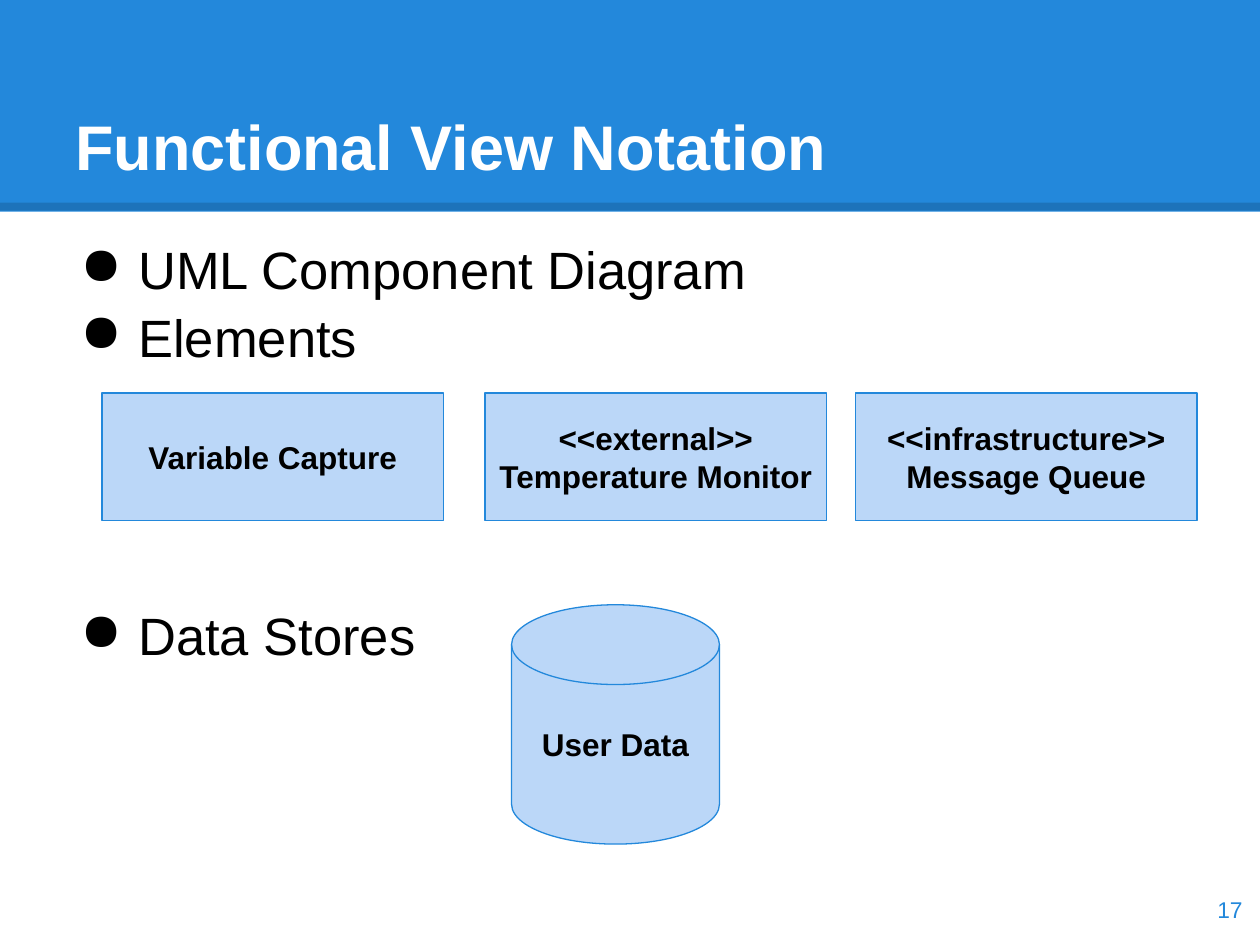
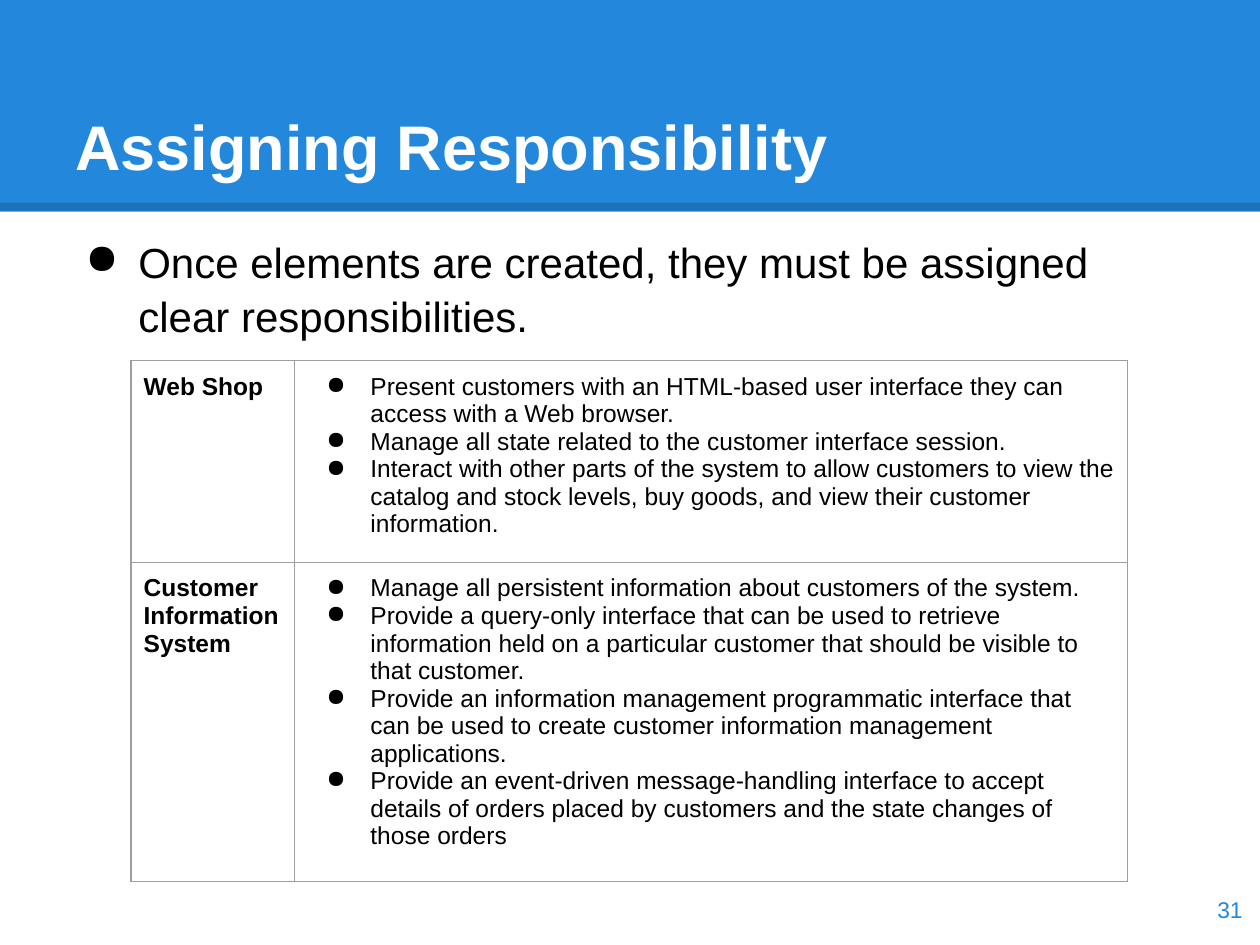
"""Build two slides on functional view notation and element responsibilities."""
import pptx
import pptx.dml.color
import pptx.enum.shapes
import pptx.enum.text
import pptx.oxml
import pptx.oxml.ns
import pptx.util
from lxml import etree
from pptx.util import Inches

BLUE, PALE_BLUE, GREY = "2388DB", "BBD7F8", "9E9E9E"
BLACK, WHITE = "000000", "FFFFFF"
SHAPES = pptx.enum.shapes.MSO_SHAPE
ALIGN = pptx.enum.text.PP_ALIGN
ANCHOR = pptx.enum.text.MSO_ANCHOR
qn = pptx.oxml.ns.qn

TITLE = {"size": 36, "bold": True, "color": WHITE, "anchor": ANCHOR.BOTTOM}
NUMBER = {"size": 13, "color": BLUE, "align": ALIGN.RIGHT, "anchor": ANCHOR.MIDDLE}
LABEL = {"size": 18, "bold": True, "align": ALIGN.CENTER, "anchor": ANCHOR.MIDDLE}
CELL_HEAD = {"size": 14, "bold": True}
CELL_LIST = {"size": 14, "hanging": 0.35}


def rgb(value):
    return pptx.dml.color.RGBColor.from_string(value)


def write_text(holder, lines, size, color=BLACK, bold=False, align=ALIGN.LEFT,
               anchor=ANCHOR.TOP, hanging=None, spacing=1.0, before=()):
    frame = holder.text_frame
    area = holder if hasattr(holder, "margin_left") else frame
    for side in ("left", "top", "right", "bottom"):
        setattr(area, f"margin_{side}", Inches(0.1))
    area.vertical_anchor = anchor
    frame.word_wrap = True
    for index, line in enumerate(lines):
        paragraph = frame.add_paragraph() if index else frame.paragraphs[0]
        paragraph_format = {
            "alignment": align,
            "line_spacing": spacing,
            "space_before": pptx.util.Pt(before[index] if before else 0),
        }
        for name, value in paragraph_format.items():
            setattr(paragraph, name, value)
        run = paragraph.add_run()
        run.text = line
        font_format = {"name": "Arial", "size": pptx.util.Pt(size), "bold": bold}
        for name, value in font_format.items():
            setattr(run.font, name, value)
        run.font.color.rgb = rgb(color)
        if hanging:
            properties = paragraph._p.get_or_add_pPr()
            properties.set("marL", str(Inches(0.5)))
            properties.set("indent", str(-Inches(hanging)))
            bullet_color = etree.SubElement(properties, qn("a:buClr"))
            etree.SubElement(bullet_color, qn("a:srgbClr"), val=color)
            etree.SubElement(properties, qn("a:buChar"), char="●")


presentation = pptx.Presentation()
presentation.slide_width = Inches(10)
presentation.slide_height = Inches(7.5)

pages = [
    ("Functional View Notation", "17",
     ["UML Component Diagram", "Elements", "Data Stores"],
     {"size": 30, "hanging": 0.46, "before": (6, 0, 132)}),
    ("Assigning Responsibility", "31",
     ["Once elements are created, they must be assigned clear responsibilities."],
     {"size": 24, "hanging": 0.42, "before": (6,)}),
]
slides = []
for title, number, bullets, body_format in pages:
    slide = presentation.slides.add_slide(presentation.slide_layouts[6])
    slides.append(slide)
    band = slide.shapes.add_shape(SHAPES.RECTANGLE, 0, 0, Inches(10), Inches(1.68))
    band.shadow.inherit = False
    band.fill.solid()
    band.fill.fore_color.rgb = rgb(BLUE)
    band.line.fill.background()

    edge = slide.shapes.add_connector(
        pptx.enum.shapes.MSO_CONNECTOR.STRAIGHT, 0, Inches(1.64), Inches(10), Inches(1.64))
    edge.line.width = pptx.util.Pt(4.5)
    edge.line.color.rgb = rgb(BLACK)
    edge_color = edge._element.spPr.find(".//" + qn("a:srgbClr"))
    etree.SubElement(edge_color, qn("a:alpha"), val="15000")
    etree.SubElement(edge._element.spPr, qn("a:effectLst"))

    for bounds, lines, text_format in [
        ((0.5, 0.3, 9, 1.25), [title], TITLE),
        ((0.5, 1.75, 9, 5.43), bullets, {**body_format, "spacing": 1.075}),
        ((9.36, 6.93, 0.6, 0.57), [number], NUMBER),
    ]:
        box = slide.shapes.add_textbox(*map(Inches, bounds))
        write_text(box, lines, **text_format)

notation_slide, responsibility_slide = slides

elements = [
    (SHAPES.RECTANGLE, (0.81, 3.12, 2.71, 1.01), ["Variable Capture"]),
    (SHAPES.RECTANGLE, (3.85, 3.12, 2.71, 1.01), ["<<external>>", "Temperature Monitor"]),
    (SHAPES.RECTANGLE, (6.79, 3.12, 2.71, 1.01), ["<<infrastructure>>", "Message Queue"]),
    (SHAPES.FLOWCHART_MAGNETIC_DISK, (4.06, 4.8, 1.65, 1.9), ["User Data"]),
]
for kind, bounds, lines in elements:
    shape = notation_slide.shapes.add_shape(kind, *map(Inches, bounds))
    shape.shadow.inherit = False
    shape.fill.solid()
    shape.fill.fore_color.rgb = rgb(PALE_BLUE)
    shape.line.color.rgb = rgb(BLUE)
    shape.line.width = pptx.util.Pt(0.75)
    write_text(shape, lines, **LABEL)

responsibilities = [
    ("Web Shop", [
        "Present customers with an HTML-based user interface they can access with a Web browser.",
        "Manage all state related to the customer interface session.",
        "Interact with other parts of the system to allow customers to view the catalog and "
        "stock levels, buy goods, and view their customer information.",
    ]),
    ("Customer Information System", [
        "Manage all persistent information about customers of the system.",
        "Provide a query-only interface that can be used to retrieve information held on a "
        "particular customer that should be visible to that customer.",
        "Provide an information management programmatic interface that can be used to create "
        "customer information management applications.",
        "Provide an event-driven message-handling interface to accept details of orders placed "
        "by customers and the state changes of those orders",
    ]),
]
column_widths, row_heights = (1.3, 6.61), (1.54, 2.39)
table = responsibility_slide.shapes.add_table(
    2, 2, Inches(1.04), Inches(2.86),
    Inches(sum(column_widths)), Inches(sum(row_heights))).table
table.first_row = table.horz_banding = False
for column, width in zip(table.columns, column_widths):
    column.width = Inches(width)
for row, height, (element, duties) in zip(table.rows, row_heights, responsibilities):
    row.height = Inches(height)
    for cell, lines, text_format in zip(
            row.cells, ([element], duties), (CELL_HEAD, CELL_LIST)):
        write_text(cell, lines, **text_format)
        properties = cell._tc.get_or_add_tcPr()
        for side in ("lnL", "lnR", "lnT", "lnB"):
            border = etree.SubElement(
                properties, qn(f"a:{side}"), w=str(pptx.util.Pt(0.75)))
            border_fill = etree.SubElement(border, qn("a:solidFill"))
            etree.SubElement(border_fill, qn("a:srgbClr"), val=GREY)
        cell.fill.background()

presentation.save("out.pptx")
